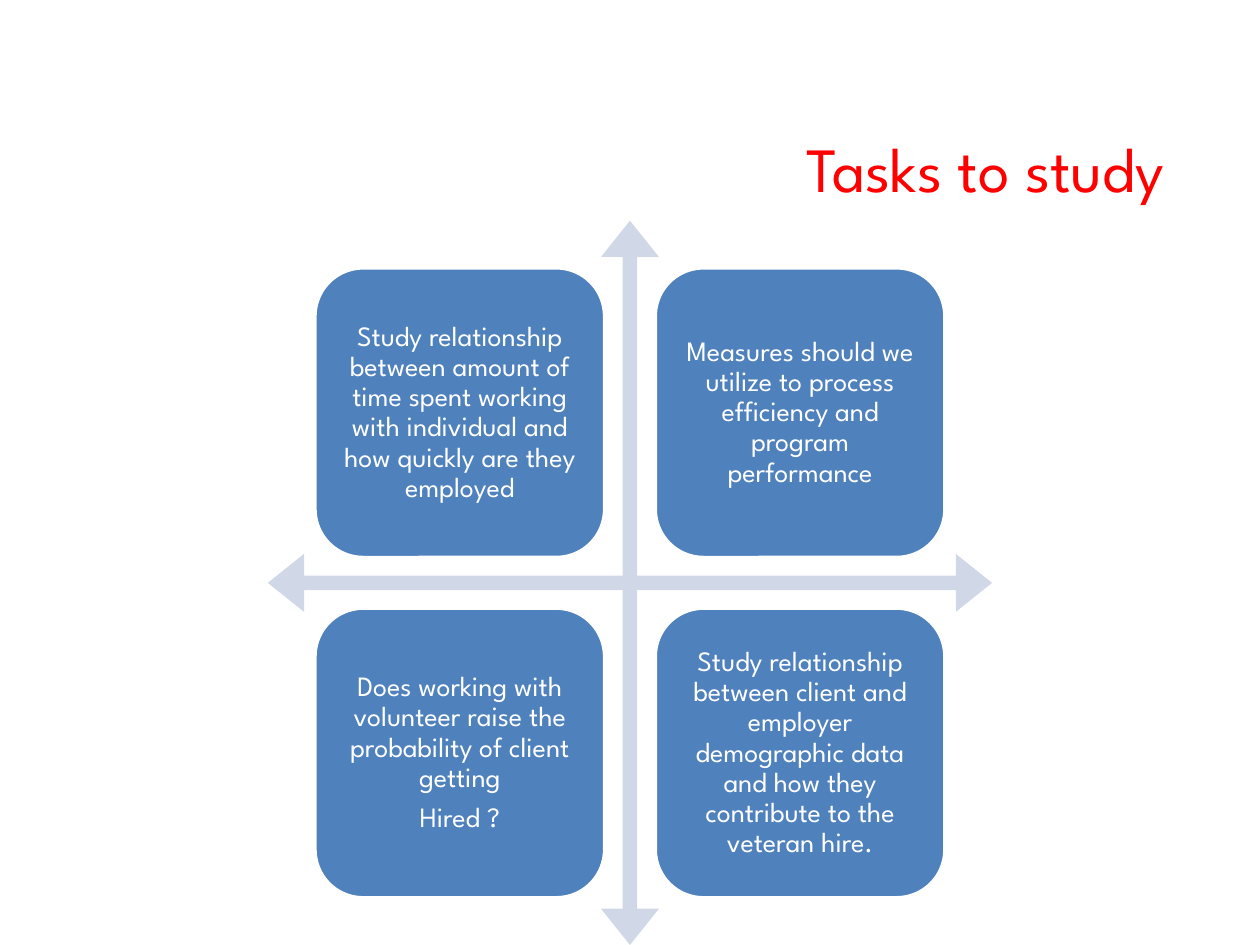
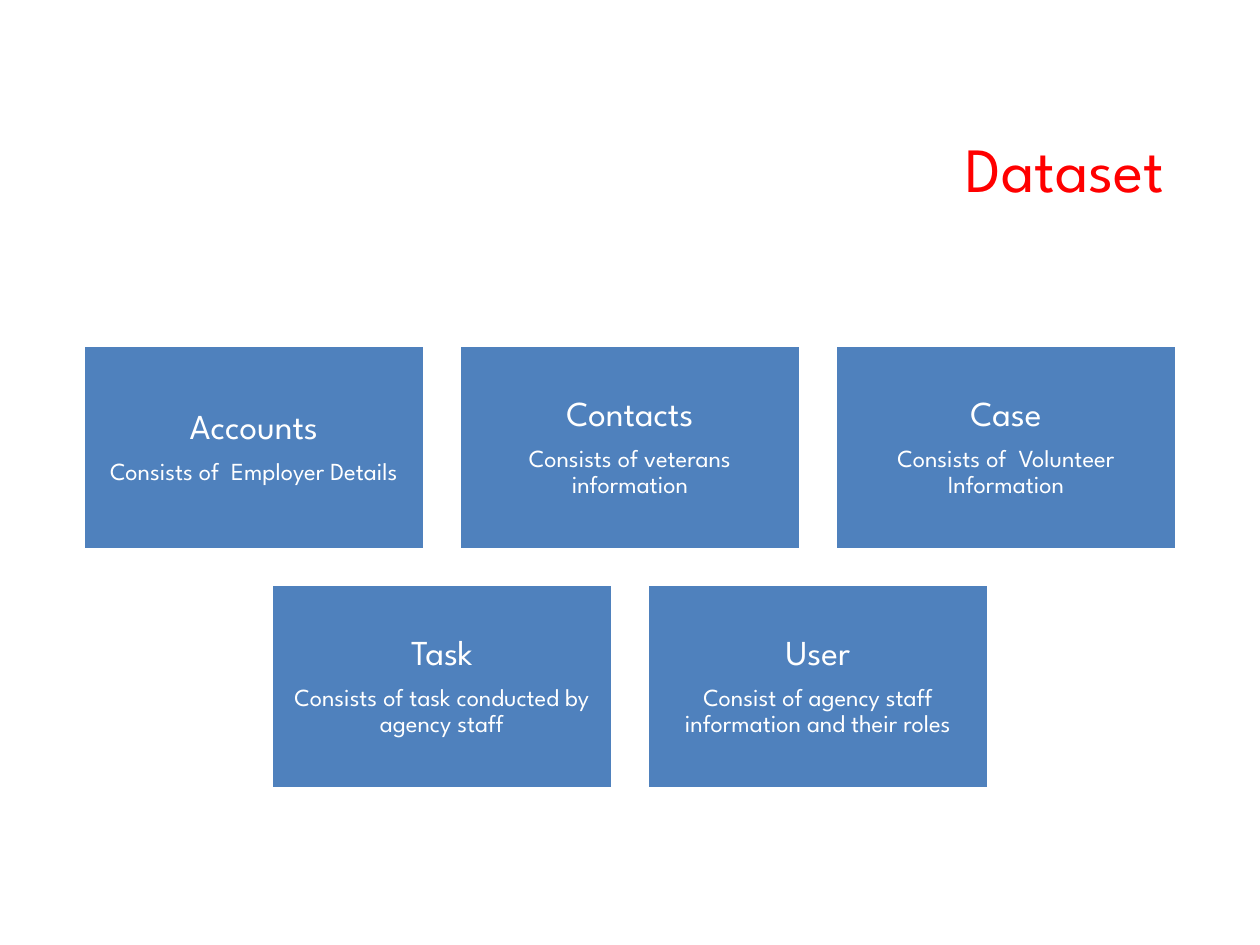
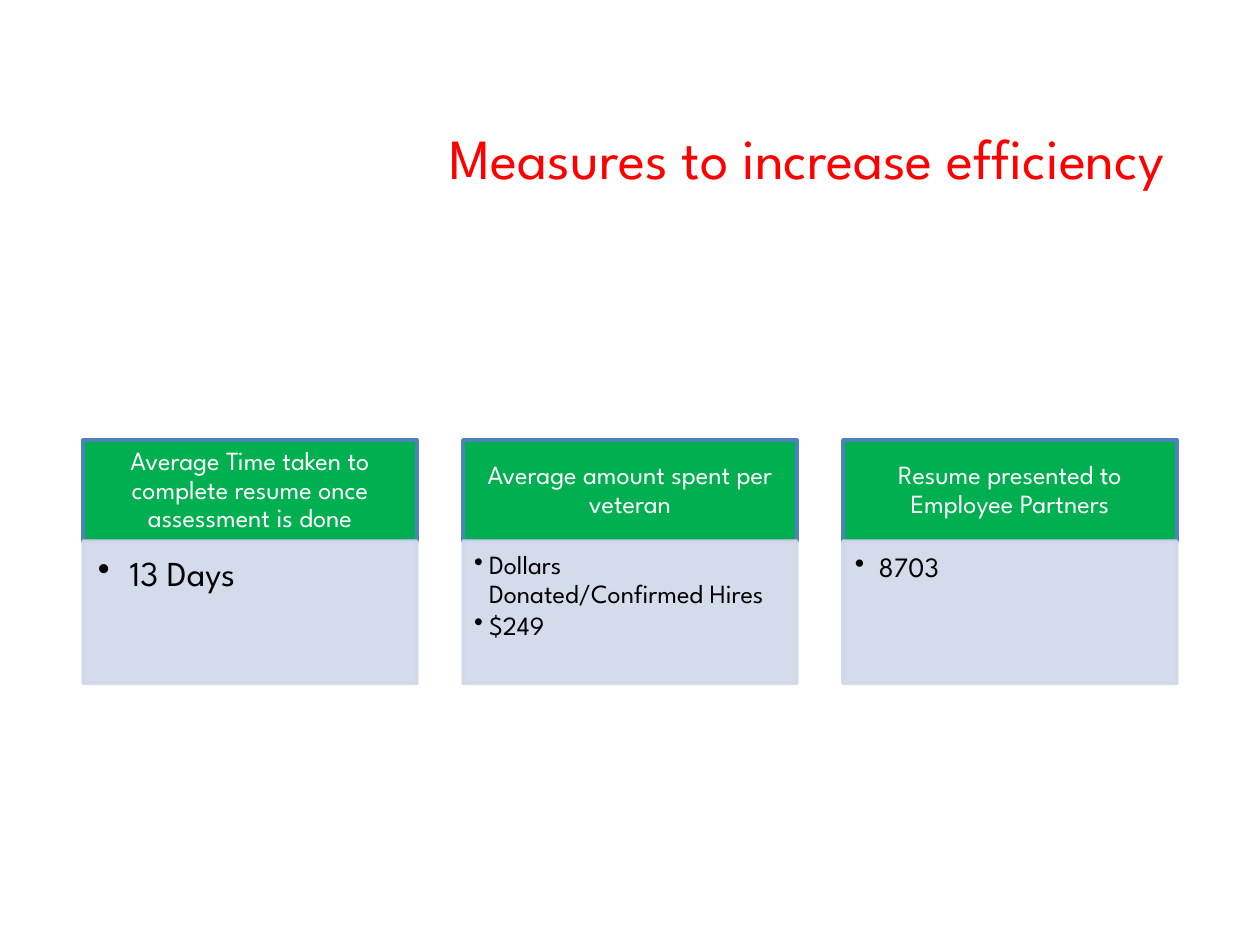
from dataclasses import dataclass

from lxml.etree import SubElement
from pptx import Presentation
from pptx.dml.color import RGBColor
from pptx.enum.shapes import MSO_SHAPE
from pptx.enum.text import MSO_ANCHOR, MSO_AUTO_SIZE, PP_ALIGN
from pptx.oxml.ns import qn
from pptx.util import Cm, Pt


@dataclass(frozen=True)
class Theme:
    font: str = "League Spartan"
    red: str = "FF0000"
    blue: str = "4F81BD"
    pale: str = "D0D8E8"
    green: str = "00B050"
    white: str = "FFFFFF"
    black: str = "000000"
    title: float = 36
    small: float = 32.4  # long titles
    task: float = 16
    name: float = 20
    note: float = 14
    head: float = 15


THEME = Theme()
MID = 12.7  # horizontal centre of the slide, cm
WIDE = 22.05  # width of the content area, cm

TASKS = [
    ["Study relationship between amount of time spent working with individual "
     "and how quickly are they employed"],
    ["Measures should we utilize to process efficiency and program performance"],
    ["Does working with volunteer raise the probability of client getting",
     "Hired ?"],
    ["Study relationship between client and employer demographic data and how "
     "they contribute to the veteran hire."],
]

DATA = [
    [("Accounts", "Consists of  Employer Details"),
     ("Contacts", "Consists of veterans information"),
     ("Case", "Consists of  Volunteer Information")],
    [("Task", "Consists of task conducted by agency staff"),
     ("User", "Consist of agency staff information and their roles")],
]

# Heading, list items, list type size, list indent in cm
GAUGES = [
    ("Average Time taken to complete resume once assessment is done",
     ["13 Days"], 20, 0.64),
    ("Average amount spent per veteran",
     ["Dollars Donated/Confirmed Hires", "$249"], 15, 0.3),
    ("Resume presented to Employee Partners", ["8703"], 16, 0.48),
]


def style(para, size, color, align):
    font = para.font
    font.name, font.size = THEME.font, Pt(size)
    font.color.rgb = RGBColor.from_string(color)
    para.alignment = align


def start(deck, text, size=THEME.title, height=2.13):
    """Add a slide with its title at the right."""
    slide = deck.slides.add_slide(deck.slide_layouts[5])
    title = slide.shapes.title
    title.left, title.top = Cm(MID - WIDE / 2), Cm(2.31)
    title.width, title.height = Cm(WIDE), Cm(height)
    frame = title.text_frame
    frame.text = text
    frame.auto_size = MSO_AUTO_SIZE.NONE
    frame.vertical_anchor = MSO_ANCHOR.MIDDLE
    style(frame.paragraphs[0], size, THEME.red, PP_ALIGN.RIGHT)
    return slide


def block(slide, kind, rect, fill, line=None):
    """Add a flat shape; rect is left, top, width, height in cm."""
    shape = slide.shapes.add_shape(kind, *map(Cm, rect))
    shape.shadow.inherit = False
    shape.fill.solid()
    shape.fill.fore_color.rgb = RGBColor.from_string(fill)
    if line:
        shape.line.color.rgb = RGBColor.from_string(line)
        shape.line.width = Pt(2)
    else:
        shape.line.fill.background()
    return shape


def fade(shape, share):
    """Make fill and outline partly transparent."""
    for color in shape.element.spPr.iter(qn("a:srgbClr")):
        SubElement(color, qn("a:alpha"), val=str(share * 1000))


def write(shape, rows, pad, color=THEME.white, align=PP_ALIGN.CENTER,
          anchor=MSO_ANCHOR.MIDDLE, after=0.35):
    """Fill a shape with (text, size) rows; pad is left, top, right, bottom."""
    frame = shape.text_frame
    frame.word_wrap = True
    frame.vertical_anchor = anchor
    (frame.margin_left, frame.margin_top,
     frame.margin_right, frame.margin_bottom) = map(Cm, pad)
    for i, (text, size) in enumerate(rows):
        para = frame.add_paragraph() if i else frame.paragraphs[0]
        para.text = text
        para.line_spacing = 0.9
        para.space_after = Pt(after * size)
        style(para, size, color, align)


def dot(para, indent):
    """Give a paragraph a round bullet with a hanging indent."""
    props = para._p.get_or_add_pPr()
    props.set("marL", str(Cm(indent)))
    props.set("indent", str(-Cm(indent)))
    mark = props.makeelement(qn("a:buChar"), {"char": "•"})
    props.insert_element_before(mark, "a:tabLst", "a:defRPr", "a:extLst")


def tasks(deck):
    slide = start(deck, "Tasks to study")
    # Crossed arrows
    cross = block(slide, MSO_SHAPE.QUAD_ARROW,
                  (MID - 7.3, 4.45, 14.6, 14.6), THEME.pale)
    for i, value in enumerate((0.02, 0.04, 0.05)):
        cross.adjustments[i] = value
    # Four quadrants
    side, step = 5.84, 6.86
    for i, texts in enumerate(TASKS):
        row, col = divmod(i, 2)
        box = block(slide, MSO_SHAPE.ROUNDED_RECTANGLE,
                    (6.35 + col * step, 5.4 + row * step, side, side),
                    THEME.blue, THEME.white)
        write(box, [(text, THEME.task) for text in texts], [0.18] * 4)


def data(deck):
    slide = start(deck, "Dataset")
    # Centred rows of boxes
    width, height, gap = 6.89, 4.13, 0.69
    for i, row in enumerate(DATA):
        left = MID - (len(row) * (width + gap) - gap) / 2
        for j, (name, note) in enumerate(row):
            box = block(slide, MSO_SHAPE.RECTANGLE,
                        (left + j * (width + gap), 6.96 + i * (height + gap),
                         width, height), THEME.blue, THEME.white)
            write(box, [(name, THEME.name), (note, THEME.note)], [0.2] * 4)


def gauges(deck):
    slide = start(deck, "Measures to increase efficiency", THEME.small, 1.7)
    # Columns with a heading above a list
    width, top, high = 6.73, 8.87, 2.04
    step = (WIDE - width) / 2
    for i, (head, items, size, indent) in enumerate(GAUGES):
        left = MID - WIDE / 2 + i * step
        bar = block(slide, MSO_SHAPE.RECTANGLE, (left, top, width, high),
                    THEME.green, THEME.blue)
        write(bar, [(head, THEME.head)], (0.3, 0.17, 0.3, 0.17))
        body = block(slide, MSO_SHAPE.RECTANGLE,
                     (left, top + high, width, 2.87), THEME.pale, THEME.pale)
        fade(body, 90)
        pad = 0.015 * size
        write(body, [(item, size) for item in items],
              (pad, pad, pad * 1.33, pad * 1.4), THEME.black,
              PP_ALIGN.LEFT, MSO_ANCHOR.TOP, 0.15)
        for para in body.text_frame.paragraphs:
            dot(para, indent)


def main():
    deck = Presentation()
    deck.slide_width, deck.slide_height = Cm(25.4), Cm(19.05)
    tasks(deck)
    data(deck)
    gauges(deck)
    deck.save("out.pptx")


if __name__ == "__main__":
    main()
